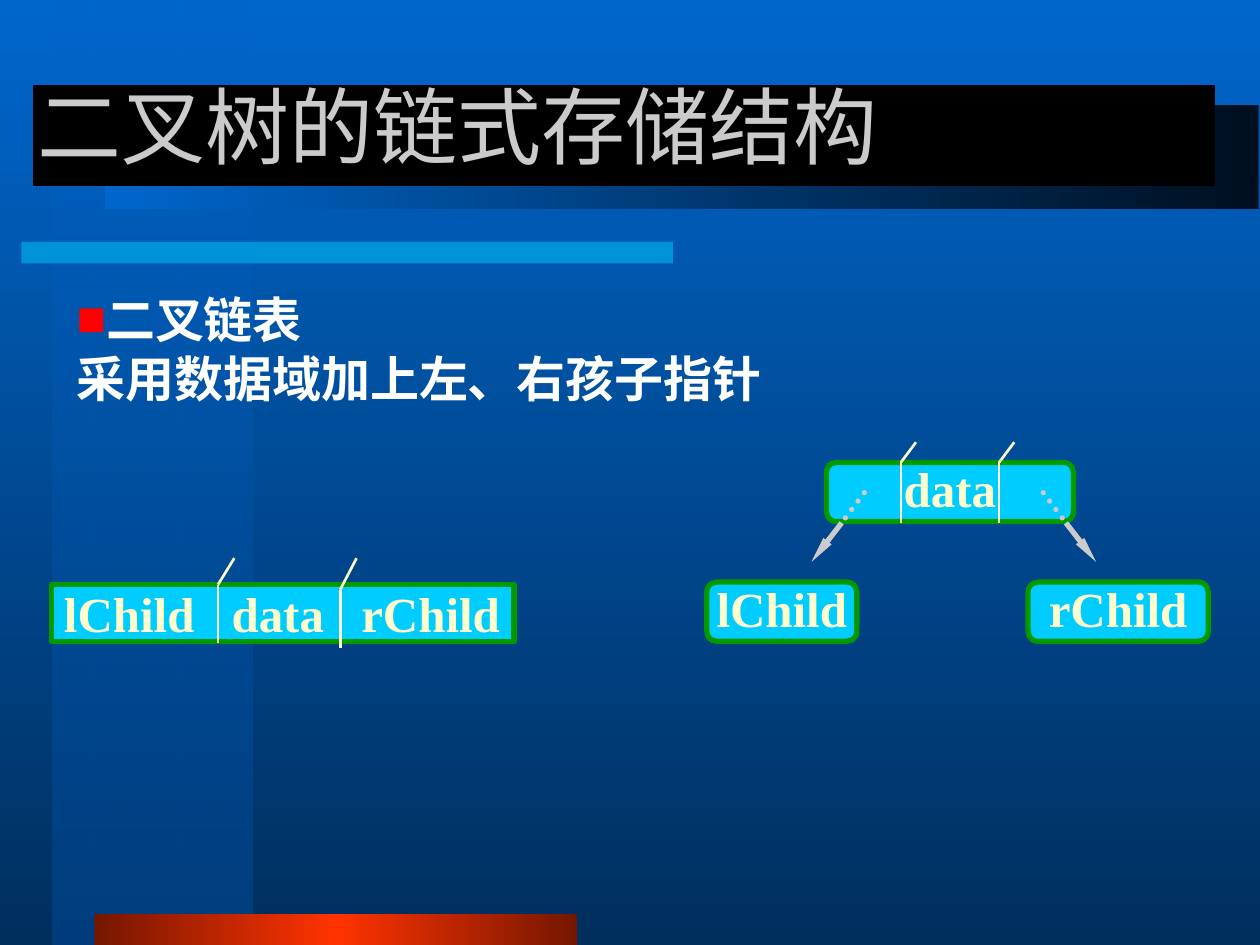
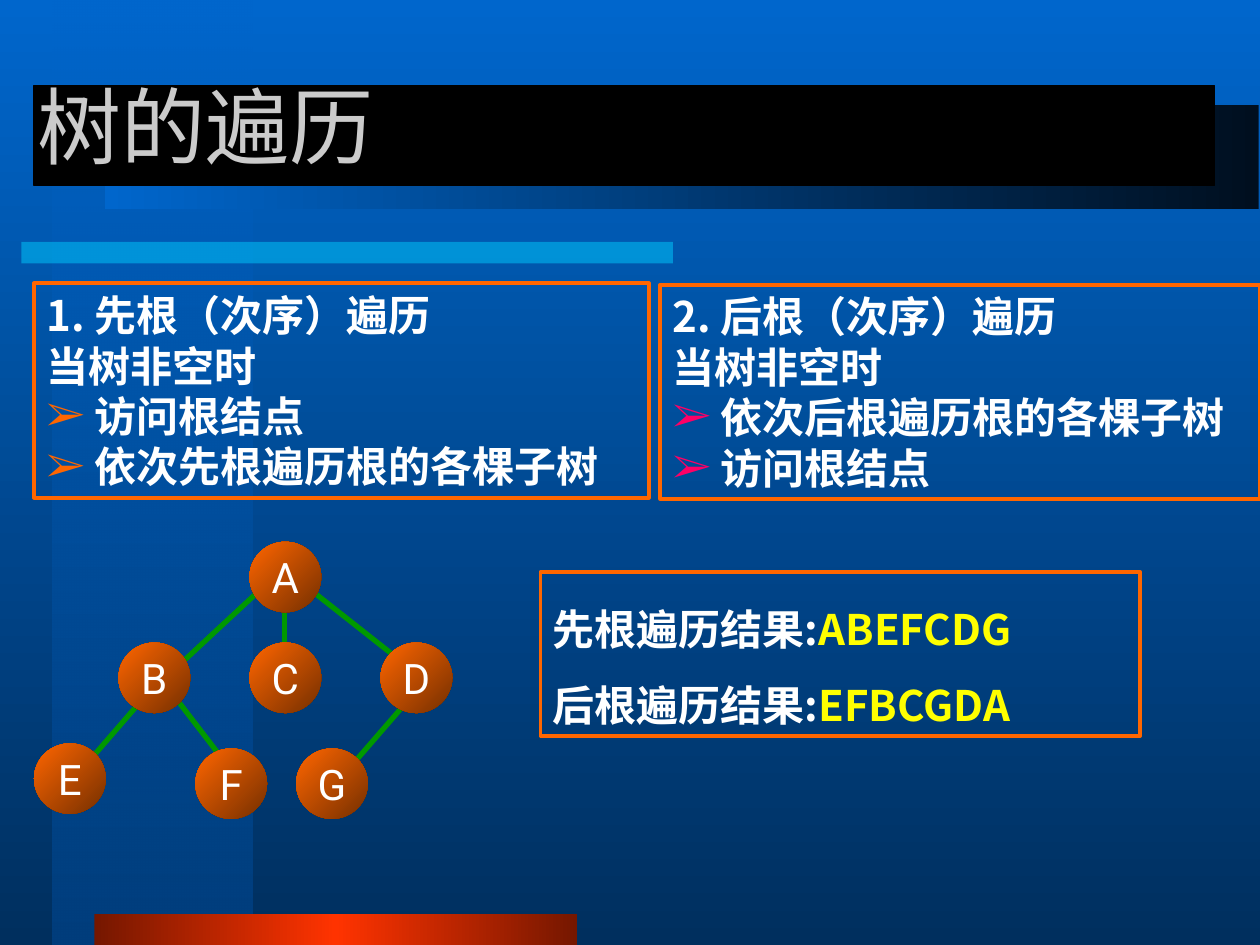
from lxml import etree
from pptx import Presentation
from pptx.dml.color import RGBColor
from pptx.enum import dml, shapes, text
from pptx.oxml import ns, parse_xml
from pptx.util import Inches, Pt

SANS = "Noto Sans CJK SC"
TITLE_FONT = "Noto Sans CJK JP"
SERIF = "Times New Roman"
LATIN = "Roboto"
WHITE, CREAM, YELLOW, SILVER = "FFFFFF", "FFFFCC", "FFFF00", "CBCBCB"
CYAN, GREEN, ORANGE, RED, PINK = "00CCFF", "009900", "FF6600", "FF0000", "FF0066"
BLACK = "000000"
BACKDROP = [(0, "0066CC", 100), (100, "002F5E", 100)]
COLUMN = [(0, "0066CC", 50), (100, "003E7D", 100)]
FOOTER = [(0, "751700", 100), (50, "FF3300", 100), (100, "751700", 100)]
TITLE_SHADE = [(0, "000F1F", 100), (100, "0066CC", 100)]
BALL = [(0, "752F00", 100), (100, "FF6600", 100)]
SHAPE = shapes.MSO_SHAPE


def color(value):
    return RGBColor.from_string(value)


def add_alpha(element, percent):
    tone = element.find(".//" + ns.qn("a:srgbClr"))
    etree.SubElement(tone, ns.qn("a:alpha"), val=str(percent * 1000))


def set_gradient(owner, fill, stops, angle):
    fill.solid()
    fill.fore_color.rgb = color(BLACK)
    solid = owner.element.find(".//" + ns.qn("a:solidFill"))
    marks = "".join(
        f'<a:gs pos="{place * 1000}"><a:srgbClr val="{tone}">'
        f'<a:alpha val="{alpha * 1000}"/></a:srgbClr></a:gs>'
        for place, tone, alpha in stops)
    gradient = parse_xml(
        f'<a:gradFill {ns.nsdecls("a")} rotWithShape="1"><a:gsLst>{marks}</a:gsLst>'
        f'<a:lin ang="{angle * 60000}" scaled="0"/></a:gradFill>')
    solid.getparent().replace(solid, gradient)


def add_figure(page, kind, box, fill=None, line=None, width=3, angle=0):
    figure = page.shapes.add_shape(kind, *map(Inches, box))
    figure.shadow.inherit = False
    if isinstance(fill, list):
        set_gradient(figure, figure.fill, fill, angle)
    elif fill:
        figure.fill.solid()
        figure.fill.fore_color.rgb = color(fill)
    else:
        figure.fill.background()
    if line:
        figure.line.color.rgb = color(line)
        figure.line.width = Pt(width)
    else:
        figure.line.fill.background()
    return figure


def add_line(page, start, end, tone, width, arrow=False, dotted=False):
    line = page.shapes.add_connector(
        shapes.MSO_CONNECTOR.STRAIGHT, *map(Inches, (*start, *end)))
    line.line.color.rgb = color(tone)
    line.line.width = Pt(width)
    stroke = line.element.find(".//" + ns.qn("a:ln"))
    if dotted:
        line.line.dash_style = dml.MSO_LINE.ROUND_DOT
        stroke.set("cap", "rnd")
    if arrow:
        etree.SubElement(stroke, ns.qn("a:tailEnd"), type="triangle", w="sm", len="lg")
    etree.SubElement(stroke.getparent(), ns.qn("a:effectLst"))


def style_span(span, font, size, tone, bold):
    span.font.name = font
    span.font.size = Pt(size)
    span.font.bold = bold
    span.font.color.rgb = color(tone)
    etree.SubElement(span.font._element, ns.qn("a:ea"), typeface=font)


def set_frame(shape, anchor, insets=(0.1, 0.05, 0.1, 0.05), wrap=True):
    frame = shape.text_frame
    frame.word_wrap = wrap
    frame.vertical_anchor = anchor
    (frame.margin_left, frame.margin_top,
     frame.margin_right, frame.margin_bottom) = map(Inches, insets)
    return frame


def set_label(shape, words, font, size, tone, bold, insets):
    frame = set_frame(shape, text.MSO_ANCHOR.MIDDLE, insets, wrap=False)
    frame.text = words
    para = frame.paragraphs[0]
    para.alignment = text.PP_ALIGN.CENTER
    style_span(para.runs[0], font, size, tone, bold)
    return para


def add_bullet(para, mark, tone):
    props = para._p.get_or_add_pPr()
    hue = etree.SubElement(props, ns.qn("a:buClr"))
    etree.SubElement(hue, ns.qn("a:srgbClr"), val=tone)
    etree.SubElement(props, ns.qn("a:buFont"), typeface=SERIF)
    etree.SubElement(props, ns.qn("a:buChar"), char=mark)


def fill_lines(shape, lines, size, pitch, indent=0, mark=None, mark_tone=None):
    frame = set_frame(shape, text.MSO_ANCHOR.TOP)
    for index, (spans, bulleted) in enumerate(lines):
        para = frame.paragraphs[0] if index == 0 else frame.add_paragraph()
        para.alignment = text.PP_ALIGN.LEFT
        para.line_spacing = Pt(pitch)
        props = para._p.get_or_add_pPr()
        props.set("marL", str(Inches(indent)))
        props.set("indent", str(-Inches(indent)))
        if bulleted:
            add_bullet(para, mark, mark_tone)
        for words, tone in spans:
            span = para.add_run()
            span.text = words
            style_span(span, SANS, size, tone, True)


def add_page(deck, title):
    page = deck.slides.add_slide(deck.slide_layouts[6])
    set_gradient(page, page.background.fill, BACKDROP, 90)
    add_figure(page, SHAPE.RECTANGLE, (0.42, 0, 1.58, 7.5), COLUMN, angle=90)
    rule = add_figure(page, SHAPE.RECTANGLE, (0.17, 1.92, 5.17, 0.17), CYAN)
    add_alpha(rule.element, 50)
    add_figure(page, SHAPE.RECTANGLE, (0.75, 7.25, 3.83, 0.25), FOOTER, angle=180)
    add_figure(page, SHAPE.RECTANGLE, (0.83, 0.83, 9.16, 0.83), TITLE_SHADE, angle=180)
    add_figure(page, SHAPE.RECTANGLE, (0.27, 0.68, 9.37, 0.79), BLACK, BLACK, 0.75)
    box = page.shapes.add_textbox(*map(Inches, (0.2, 0.37, 8.5, 1.25)))
    frame = set_frame(box, text.MSO_ANCHOR.MIDDLE)
    frame.text = title
    style_span(frame.paragraphs[0].runs[0], TITLE_FONT, 48, SILVER, False)
    return page


def add_divider(page, x, bottom, bend, top, lean):
    add_line(page, (x, bottom), (x, bend), CREAM, 1.5)
    add_line(page, (x, bend), (x + lean, top), CREAM, 1.5)


def add_linked_nodes(page, left, top):
    nodes = [("data", 0.95, 0.16, 1.96), ("rChild", 2.55, 1.11, 1.43),
             ("lChild", 0, 1.11, 1.19)]
    for name, x, y, width in nodes:
        node = add_figure(page, SHAPE.ROUNDED_RECTANGLE,
                          (left + x, top + y, width, 0.47), CYAN, GREEN)
        set_label(node, name, SERIF, 28, CREAM, True, (0, 0, 0, 0.06))
    for x in (1.54, 2.32):
        add_divider(page, left + x, top + 0.64, top + 0.16, top, 0.12)
    for inner, edge, tip in ((1.25, 1.07, 0.83), (2.67, 2.85, 3.09)):
        rim = (left + edge, top + 0.64)
        add_line(page, rim, (left + tip, top + 0.95), SILVER, 3, arrow=True)
        add_line(page, (left + inner, top + 0.4), rim, SILVER, 3, dotted=True)


def add_record(page, left, top):
    record = add_figure(page, SHAPE.RECTANGLE, (left, top, 3.67, 0.45), CYAN, GREEN)
    para = set_label(record, "lChild\tdata\trChild", SERIF, 28, CREAM, True, (0.1, 0, 0, 0))
    para.alignment = text.PP_ALIGN.LEFT
    record.text_frame.word_wrap = True
    tabs = etree.SubElement(para._p.get_or_add_pPr(), ns.qn("a:tabLst"))
    for stop in (1.33, 2.36):
        etree.SubElement(tabs, ns.qn("a:tab"), pos=str(Inches(stop)), algn="l")
    for x, drop in ((1.32, 0), (2.29, 0.04)):
        add_divider(page, left + x, top + 0.46 + drop, top + drop, top - 0.21, 0.13)


def add_tree(page, left, top):
    edges = [(2.13, 0.33, 2.84, 0.89), (1.85, 0.33, 1.14, 0.99),
             (1, 1.09, 0.48, 1.69), (1.04, 1.13, 1.47, 1.69),
             (3.08, 1.13, 2.56, 1.73), (1.99, 0.54, 1.99, 0.82)]
    nodes = {"A": (1.71, 0), "B": (0.67, 0.8), "C": (1.71, 0.8), "D": (2.75, 0.8),
             "E": (0, 1.6), "F": (1.28, 1.64), "G": (2.08, 1.64)}
    for x1, y1, x2, y2 in edges:
        add_line(page, (left + x1, top + y1), (left + x2, top + y2), GREEN, 3)
    for name, (x, y) in nodes.items():
        ball = add_figure(page, SHAPE.OVAL, (left + x, top + y, 0.57, 0.56), BALL, angle=225)
        set_label(ball, name, LATIN, 24, WHITE, False, (0, 0.05, 0, 0.05))


def add_method(page, box, heading, steps, mark_tone):
    panel = add_figure(page, SHAPE.RECTANGLE, box, line=ORANGE, width=2.25)
    lines = [([(words, WHITE)], False) for words in (heading, "当树非空时")]
    lines += [([(step, WHITE)], True) for step in steps]
    fill_lines(panel, lines, 24, 28.8, 0.38, "➢", mark_tone)


def add_results(page, box, results):
    panel = add_figure(page, SHAPE.RECTANGLE, box, line=ORANGE, width=2.25)
    lines = [([(name, WHITE), (order, YELLOW)], False) for name, order in results]
    fill_lines(panel, lines, 24, 43.2, 0.38)


def build_storage_page(deck):
    page = add_page(deck, "二叉树的链式存储结构")
    intro = page.shapes.add_textbox(*map(Inches, (0.51, 2.25, 8.9, 1.04)))
    lines = [([("二叉链表", WHITE)], True),
             ([("采用数据域加上左、右孩子指针", WHITE)], False)]
    fill_lines(intro, lines, 28, 33.6, mark="■", mark_tone=RED)
    add_linked_nodes(page, 5.61, 3.51)
    add_record(page, 0.41, 4.64)


def build_traversal_page(deck):
    page = add_page(deck, "树的遍历")
    visit = "访问根结点"
    add_method(page, (0.27, 2.25, 4.88, 1.7), "1. 先根（次序）遍历",
               [visit, "依次先根遍历根的各棵子树"], ORANGE)
    add_method(page, (5.24, 2.26, 4.76, 1.7), "2. 后根（次序）遍历",
               ["依次后根遍历根的各棵子树", visit], PINK)
    add_tree(page, 0.27, 4.3)
    add_results(page, (4.29, 4.54, 4.76, 1.3),
                [("先根遍历结果:", "ABEFCDG"), ("后根遍历结果:", "EFBCGDA")])


def main():
    deck = Presentation()
    deck.slide_width = Inches(10)
    deck.slide_height = Inches(7.5)
    build_storage_page(deck)
    build_traversal_page(deck)
    deck.save("out.pptx")


if __name__ == "__main__":
    main()
